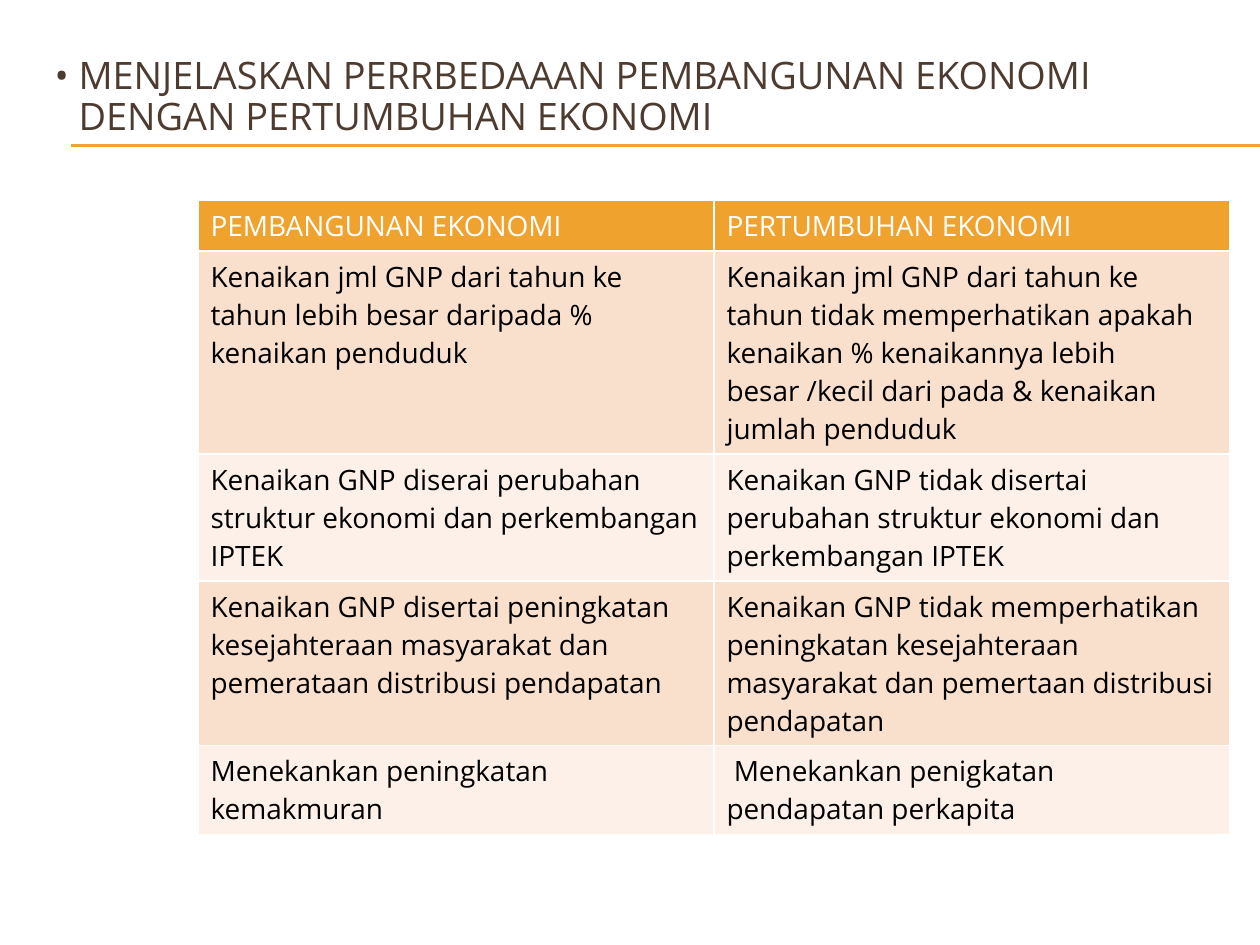
from pptx import Presentation
from pptx.dml.color import RGBColor
from pptx.enum.shapes import MSO_CONNECTOR
from pptx.enum.text import MSO_ANCHOR, MSO_AUTO_SIZE, PP_ALIGN
from pptx.oxml.ns import qn
from pptx.util import Pt
from lxml.etree import SubElement

PX = 914400 // 126
FONT = "Open Sans"
COLORS = {
    "title": "4E3B30",
    "accent": "F0A22E",
    "odd_row": "F9E0CD",
    "even_row": "FCF0E8",
    "header_text": "FFFFFF",
    "body_text": "000000",
}
TITLE = "MENJELASKAN PERRBEDAAAN PEMBANGUNAN EKONOMI DENGAN PERTUMBUHAN EKONOMI"
COMPARISON = [
    ("PEMBANGUNAN EKONOMI", "PERTUMBUHAN EKONOMI"),
    ("Kenaikan jml GNP dari tahun ke tahun lebih besar daripada % kenaikan penduduk",
     "Kenaikan jml GNP dari tahun ke tahun tidak memperhatikan apakah kenaikan % "
     "kenaikannya lebih besar /kecil dari pada & kenaikan jumlah penduduk"),
    ("Kenaikan GNP diserai perubahan struktur ekonomi dan perkembangan IPTEK",
     "Kenaikan GNP tidak disertai perubahan struktur ekonomi dan perkembangan IPTEK"),
    ("Kenaikan GNP disertai peningkatan kesejahteraan masyarakat dan pemerataan "
     "distribusi pendapatan",
     "Kenaikan GNP tidak memperhatikan peningkatan kesejahteraan masyarakat dan "
     "pemertaan distribusi pendapatan"),
    ("Menekankan peningkatan kemakmuran",
     " Menekankan penigkatan pendapatan perkapita"),
]
ROW_HEIGHTS = [51, 203, 127, 164, 88]
COLUMN_WIDTH = 516


def px(length):
    return length * PX


def color(name):
    return RGBColor.from_string(COLORS[name])


def add_text(paragraph, text, size, color_name):
    run = paragraph.add_run()
    run.text = text
    run.font.name = FONT
    run.font.size = Pt(size)
    run.font.bold = False
    run.font.color.rgb = color(color_name)


def set_bullet(paragraph, indent):
    properties = paragraph._p.get_or_add_pPr()
    properties.set("marL", str(px(indent)))
    properties.set("indent", str(-px(indent)))
    SubElement(properties, qn("a:buFont"), typeface=FONT)
    SubElement(properties, qn("a:buChar"), char="•")


def format_title(title):
    title.left, title.top, title.width, title.height = map(px, (42, 63, 1197, 116))
    frame = title.text_frame
    frame.word_wrap = True
    frame.auto_size = MSO_AUTO_SIZE.NONE
    frame.vertical_anchor = MSO_ANCHOR.MIDDLE
    frame.margin_top, frame.margin_bottom = 0, px(46)
    heading = frame.paragraphs[0]
    heading.alignment = PP_ALIGN.LEFT
    heading.line_spacing = 0.9
    heading.space_before = Pt(0)
    set_bullet(heading, 24)
    add_text(heading, TITLE, 21.6, "title")


def add_rule(slide, y):
    rule = slide.shapes.add_connector(
        MSO_CONNECTOR.STRAIGHT, px(71), px(y), px(1260), px(y))
    rule.line.color.rgb = color("accent")
    rule.line.width = Pt(0.75)
    SubElement(rule._element.spPr, qn("a:effectLst"))


def add_comparison(slide):
    table = slide.shapes.add_table(
        len(COMPARISON), 2, px(198), px(200),
        px(2 * COLUMN_WIDTH), px(sum(ROW_HEIGHTS))).table
    for column in table.columns:
        column.width = px(COLUMN_WIDTH)
    for index, (height, texts) in enumerate(zip(ROW_HEIGHTS, COMPARISON)):
        row = table.rows[index]
        row.height = px(height)
        if index == 0:
            fill, ink = "accent", "header_text"
        else:
            fill, ink = ("odd_row" if index % 2 else "even_row"), "body_text"
        for cell, text in zip(row.cells, texts):
            cell.fill.solid()
            cell.fill.fore_color.rgb = color(fill)
            add_text(cell.text_frame.paragraphs[0], text, 16, ink)


def main():
    presentation = Presentation()
    presentation.slide_width, presentation.slide_height = px(1260), px(945)
    slide = presentation.slides.add_slide(presentation.slide_layouts[5])
    for y in (145, 146):
        add_rule(slide, y)
    format_title(slide.shapes.title)
    add_comparison(slide)
    presentation.save("out.pptx")


if __name__ == "__main__":
    main()
